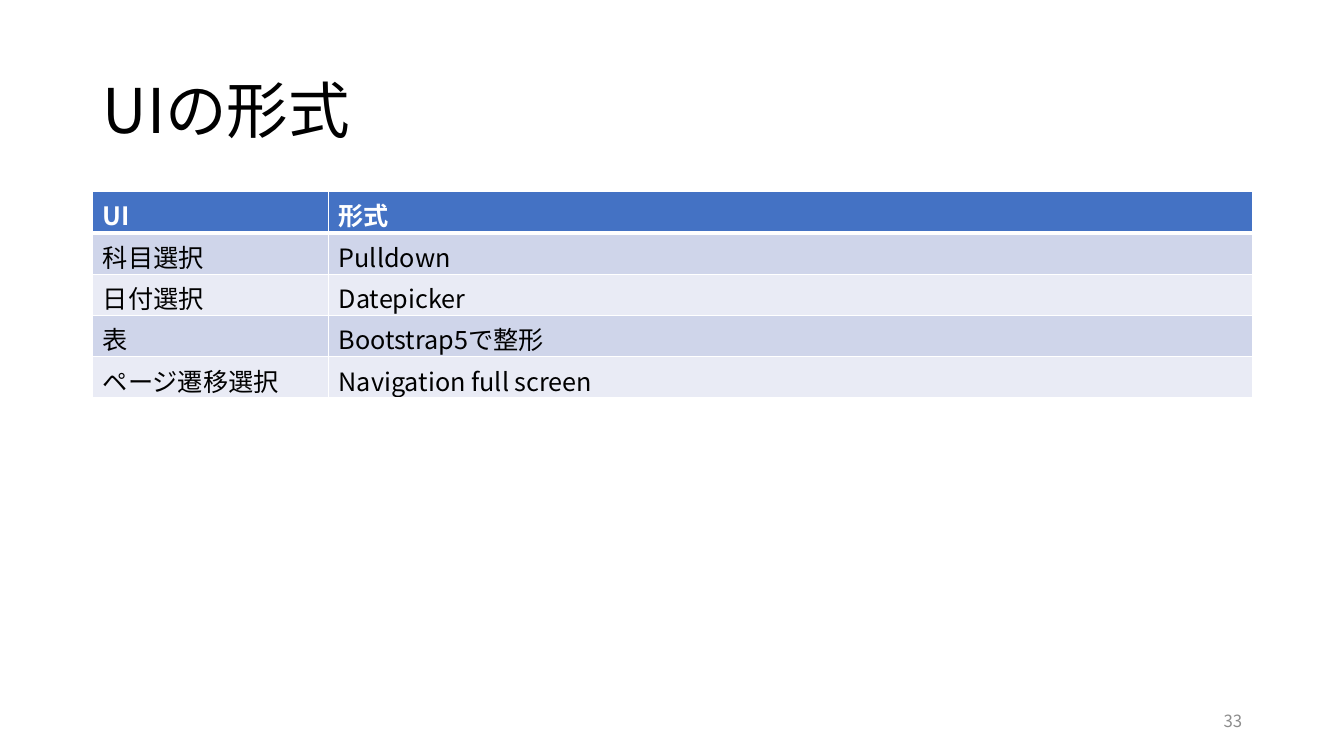
import lxml.etree
import pptx
import pptx.dml.color
import pptx.enum.text
import pptx.oxml.ns
import pptx.util

BLACK = pptx.dml.color.RGBColor(0x00, 0x00, 0x00)
WHITE = pptx.dml.color.RGBColor(0xFF, 0xFF, 0xFF)
GREY = pptx.dml.color.RGBColor(0x8C, 0x8C, 0x8C)
HEADER_BLUE = pptx.dml.color.RGBColor(0x44, 0x72, 0xC4)
BAND_DARK = pptx.dml.color.RGBColor(0xCF, 0xD5, 0xEA)
BAND_LIGHT = pptx.dml.color.RGBColor(0xE9, 0xEB, 0xF5)
FONT = "Noto Sans CJK JP"
MIDDLE = pptx.enum.text.MSO_ANCHOR.MIDDLE


def add_run(paragraph, text, size, color, bold=False):
    run = paragraph.add_run()
    run.text = text
    run.font.size = pptx.util.Pt(size)
    run.font.bold = bold
    run.font.color.rgb = color
    run.font.name = FONT
    east_asian = lxml.etree.SubElement(run.font._element, pptx.oxml.ns.qn("a:ea"))
    east_asian.set("typeface", FONT)


def add_border(cell, side, width):
    properties = cell._tc.get_or_add_tcPr()
    line = lxml.etree.SubElement(properties, pptx.oxml.ns.qn(f"a:{side}"))
    line.set("w", str(pptx.util.Pt(width)))
    fill = lxml.etree.SubElement(line, pptx.oxml.ns.qn("a:solidFill"))
    color = lxml.etree.SubElement(fill, pptx.oxml.ns.qn("a:srgbClr"))
    color.set("val", str(WHITE))


deck = pptx.Presentation()
deck.slide_width = pptx.util.Inches(13.33)
deck.slide_height = pptx.util.Inches(7.5)
slide = deck.slides.add_slide(deck.slide_layouts[5])

margin = pptx.util.Inches(0.92)
content_width = pptx.util.Inches(11.5)

heading = slide.shapes.title
heading.left, heading.top = margin, pptx.util.Inches(0.4)
heading.width, heading.height = content_width, pptx.util.Inches(1.45)
heading.text_frame.vertical_anchor = MIDDLE
heading_line = heading.text_frame.paragraphs[0]
heading_line.alignment = pptx.enum.text.PP_ALIGN.LEFT
heading_line.line_spacing = 0.9
add_run(heading_line, "UIの形式", 44, BLACK)

number_width = pptx.util.Inches(3)
page_number = slide.shapes.add_textbox(
    margin + content_width - number_width, pptx.util.Inches(6.95),
    number_width, pptx.util.Inches(0.4))
page_number.text_frame.word_wrap = True
page_number.text_frame.vertical_anchor = MIDDLE
number_line = page_number.text_frame.paragraphs[0]
number_line.alignment = pptx.enum.text.PP_ALIGN.RIGHT
add_run(number_line, "33", 12, GREY)

ui_formats = [
    ("UI", "形式"),
    ("科目選択", "Pulldown"),
    ("日付選択", "Datepicker"),
    ("表", "Bootstrap5で整形"),
    ("ページ遷移選択", "Navigation full screen"),
]
row_height = pptx.util.Inches(0.41)
ui_width = pptx.util.Inches(2.34)
format_table = slide.shapes.add_table(
    len(ui_formats), 2, margin, pptx.util.Inches(1.9),
    content_width, row_height * len(ui_formats)).table
format_table.columns[0].width = ui_width
format_table.columns[1].width = content_width - ui_width

for row, entries in enumerate(ui_formats):
    format_table.rows[row].height = row_height
    is_header = row == 0
    band = HEADER_BLUE if is_header else (BAND_LIGHT, BAND_DARK)[row % 2]
    for column, entry in enumerate(entries):
        cell = format_table.cell(row, column)
        for side in ("lnL", "lnR", "lnT", "lnB"):
            thick = (is_header and side == "lnB") or (row == 1 and side == "lnT")
            add_border(cell, side, 3 if thick else 1)
        cell.fill.solid()
        cell.fill.fore_color.rgb = band
        add_run(cell.text_frame.paragraphs[0], entry, 18,
                WHITE if is_header else BLACK, is_header)

deck.save("out.pptx")
